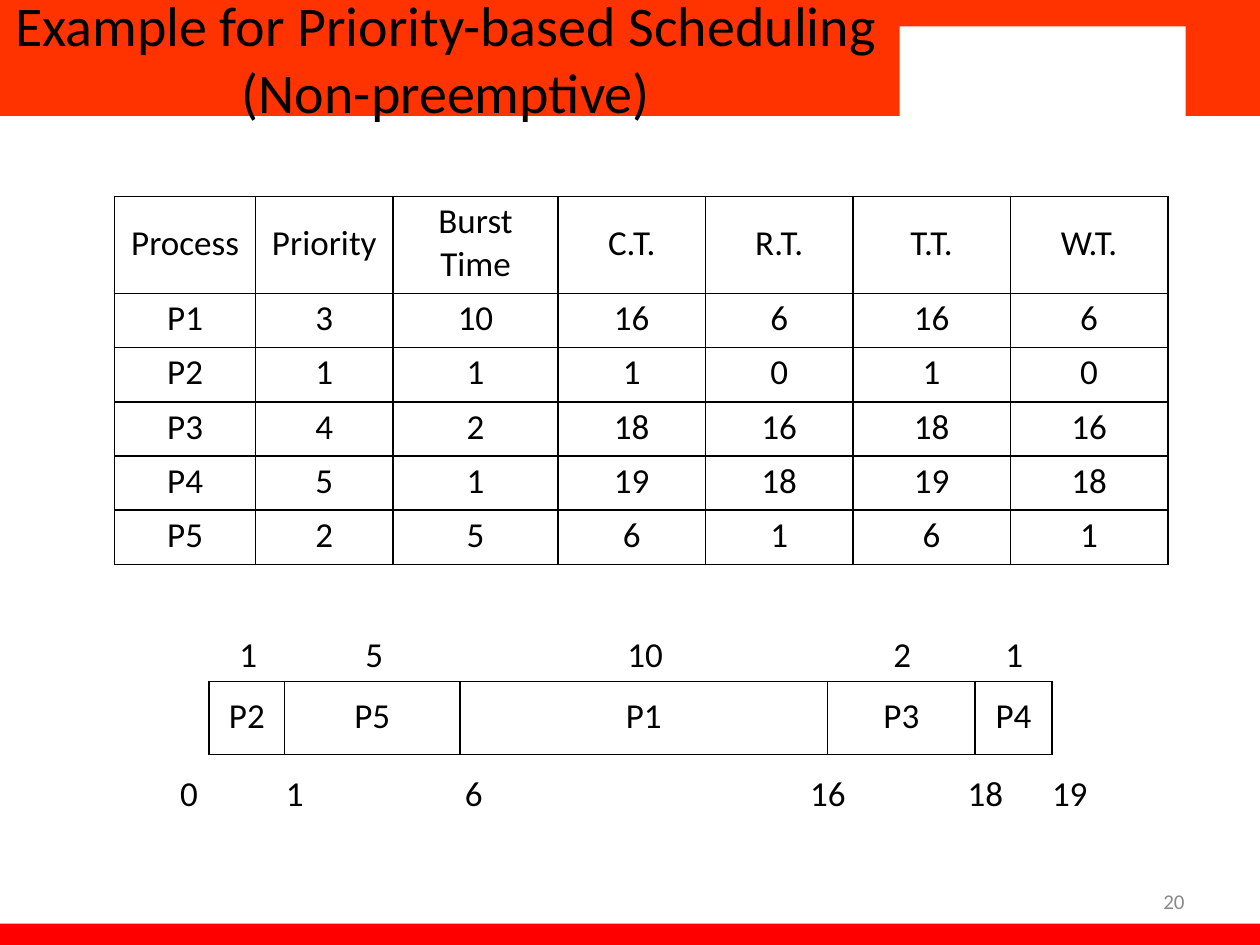
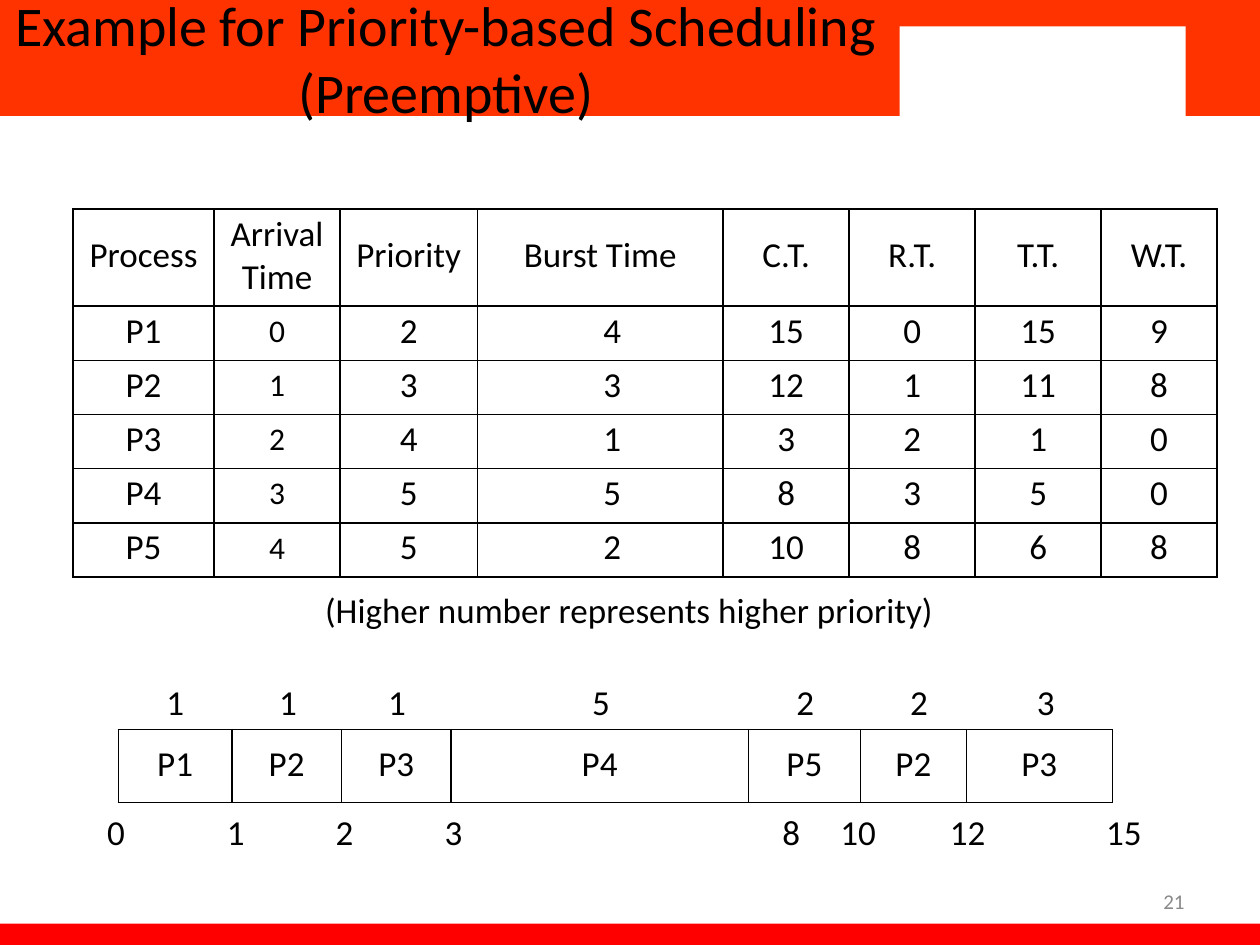
import pptx
import pptx.util
import pptx.dml.color
import pptx.enum.shapes
import pptx.enum.text
import pptx.oxml.ns
import lxml.etree

Inches, Pt = pptx.util.Inches, pptx.util.Pt
RGBColor = pptx.dml.color.RGBColor
ALIGN = pptx.enum.text.PP_ALIGN
MIDDLE = pptx.enum.text.MSO_ANCHOR.MIDDLE
NO_FIT = pptx.enum.text.MSO_AUTO_SIZE.NONE
qn = pptx.oxml.ns.qn

ORANGE = RGBColor(0xFF, 0x33, 0x00)
RED = RGBColor(0xFF, 0x00, 0x00)
WHITE = RGBColor(0xFF, 0xFF, 0xFF)
BLACK = RGBColor(0x00, 0x00, 0x00)
GREY = RGBColor(0x89, 0x89, 0x89)
FONT = "Calibri"
NO_GRID_STYLE = "{2D5ABB26-0587-4C30-8999-92F81FD0307C}"
L, C, R = ALIGN.LEFT, ALIGN.CENTER, ALIGN.RIGHT


def format_paragraph(p, size, color, align):
    p.font.name, p.font.size, p.font.color.rgb = FONT, Pt(size), color
    p.alignment = align


def add_grid(s, left, top, widths, heights, rows, margin_top, bordered=True):
    """Add a plain table of centred 20 pt text, with thin black borders if wanted."""
    frame = s.shapes.add_table(len(rows), len(widths), Inches(left), Inches(top),
                               Inches(sum(widths)), Inches(sum(heights)))
    frame.element.find(".//" + qn("a:tableStyleId")).text = NO_GRID_STYLE
    table = frame.table
    table.first_row = table.horz_banding = False
    for column, width in zip(table.columns, widths):
        column.width = Inches(width)
    for r, height in enumerate(heights):
        table.rows[r].height = Inches(height)
        for c, text in enumerate(rows[r]):
            cell = table.cell(r, c)
            cell.text = text
            cell.margin_left = cell.margin_right = cell.margin_bottom = 0
            cell.margin_top = Inches(margin_top)
            cell.fill.background()
            for p in cell.text_frame.paragraphs:
                format_paragraph(p, 20, BLACK, C)
            for i, side in enumerate(("lnL", "lnR", "lnT", "lnB") if bordered else ()):
                ln = lxml.etree.Element(qn("a:" + side), w=str(Pt(1)))
                fill = lxml.etree.SubElement(ln, qn("a:solidFill"))
                lxml.etree.SubElement(fill, qn("a:srgbClr"), val=str(BLACK))
                cell._tc.get_or_add_tcPr().insert(i, ln)
    return table


# Content: label rows hold (column width, text, alignment, indent)
SLIDES = [
    dict(
        title="Example for Priority-based Scheduling (Non-preemptive)",
        number="20",
        table_at=(0.91, 1.56),
        widths=[1.12, 1.09, 1.31, 1.17, 1.17, 1.25, 1.25],
        header=["Process", "Priority", "Burst\nTime", "C.T.", "R.T.", "T.T.", "W.T."],
        processes=["P1 3 10 16 6 16 6", "P2 1 1 1 0 1 0", "P3 4 2 18 16 18 16",
                   "P4 5 1 19 18 19 18", "P5 2 5 6 1 6 1"],
        gantt_at=(1.66, 5.41),
        gantt=[("P2", 0.6), ("P5", 1.39), ("P1", 2.92), ("P3", 1.17), ("P4", 0.61)],
        captions=[(1.89, 5.01, 0.17, "1"), (2.89, 5.01, 0.17, "5"),
                  (4.97, 5.01, 0.31, "10"), (7.08, 5.01, 0.17, "2"),
                  (7.97, 5.01, 0.17, "1")],
        label_rows=[
            (1.4, 6.14, [(0.52, "0", L, 0.03), (1.13, "1", L, 0.35), (2.08, "6", L, 0.64),
                         (2.07, "16", L, 1.3), (0.96, "18", L, 0.48),
                         (0.51, "19", L, 0.19)]),
        ],
    ),
    dict(
        title="Example for Priority-based Scheduling (Preemptive)",
        number="21",
        table_at=(0.58, 1.66),
        widths=[1.12, 1, 1.09, 1.95, 1, 1, 1, 0.92],
        header=["Process", "Arrival\nTime", "Priority", "Burst Time",
                "C.T.", "R.T.", "T.T.", "W.T."],
        processes=["P1 0 2 4 15 0 15 9", "P2 1 3 3 12 1 11 8", "P3 2 4 1 3 2 1 0",
                   "P4 3 5 5 8 3 5 0", "P5 4 5 2 10 8 6 8"],
        gantt_at=(0.94, 5.79),
        gantt=[("P1", 0.9), ("P2", 0.87), ("P3", 0.87), ("P4", 2.36), ("P5", 0.89),
               ("P2", 0.84), ("P3", 1.16)],
        captions=[(2.57, 4.66, 4.85, "(Higher number represents higher priority)")],
        label_rows=[
            (0.82, 6.45, [(0.58, "0", L, 0.03), (0.9, "1", C, 0.04), (0.87, "2", C, 0),
                          (1.61, "3", L, 0.36), (1.57, "8", R, 0), (0.9, "10", L, 0.32),
                          (1.05, "12", L, 0.29), (0.79, "15", L, 0.48)]),
            (1.29, 5.42, [(0.55, "1", L, 0.03), (0.88, "1", C, 0.01), (1.24, "1", L, 0.36),
                          (1.62, "5", C, 0), (1.25, "2", L, 0.74), (0.93, "2", C, 0),
                          (0.61, "3", R, 0)]),
        ],
    ),
]

prs = pptx.Presentation()
prs.slide_width, prs.slide_height = Inches(10), Inches(7.5)
layout = prs.slide_layouts[5]
slides = [prs.slides.add_slide(layout) for _ in SLIDES]

# Shared bands, moved to the back of the layout
bands = [(0, 0, 10, 0.92, ORANGE), (0, 7.33, 10, 0.17, RED), (7.14, 0.21, 2.27, 0.75, WHITE)]
for i, (left, top, width, height, color) in enumerate(bands):
    sp = slides[0].shapes.add_shape(pptx.enum.shapes.MSO_SHAPE.RECTANGLE, Inches(left),
                                    Inches(top), Inches(width), Inches(height))
    sp.shadow.inherit = False
    sp.fill.solid()
    sp.fill.fore_color.rgb = color
    sp.line.fill.background()
    layout.shapes.element.insert(2 + i, sp.element)

for s, content in zip(slides, SLIDES):
    # Title
    sp = s.shapes.title
    sp.left, sp.top, sp.width, sp.height = 0, 0, Inches(7.08), Inches(0.92)
    tf = sp.text_frame
    tf.text = content["title"]
    tf.auto_size, tf.vertical_anchor = NO_FIT, MIDDLE
    format_paragraph(tf.paragraphs[0], 32, BLACK, C)

    # Process table
    rows = [content["header"]] + [line.split() for line in content["processes"]]
    table = add_grid(s, *content["table_at"], content["widths"], [0.77] + [0.43] * 5,
                     rows, 0.03)
    for c, text in enumerate(content["header"]):
        if "\n" not in text:
            table.cell(0, c).margin_top = Inches(0.2)
        for r in range(1, len(rows)):
            cell = table.cell(r, c)
            p = cell.text_frame.paragraphs[0]
            if text == "Arrival\nTime":
                p.font.size, cell.margin_top = Pt(18), Inches(0.05)
            elif text == "Burst Time":
                p._p.get_or_add_pPr().set("marL", str(Inches(0.19)))

    # Gantt chart
    names, widths = zip(*content["gantt"])
    add_grid(s, *content["gantt_at"], widths, [0.58], [names], 0.11)

    # Rows of times and durations along the Gantt chart
    for left, top, labels in content["label_rows"]:
        widths, texts, aligns, indents = zip(*labels)
        table = add_grid(s, left, top, widths, [0.28], [texts], 0, bordered=False)
        for c, (align, indent) in enumerate(zip(aligns, indents)):
            p = table.cell(0, c).text_frame.paragraphs[0]
            p.alignment, p.line_spacing = align, 0.95
            p._p.get_or_add_pPr().set("marL", str(Inches(indent)))

    # Single captions
    for left, top, width, text in content["captions"]:
        tf = s.shapes.add_textbox(Inches(left), Inches(top), Inches(width),
                                  Inches(0.36)).text_frame
        tf.text = text
        tf.margin_left = tf.margin_top = Inches(0.01)
        tf.margin_right = tf.margin_bottom = 0
        format_paragraph(tf.paragraphs[0], 20, BLACK, L)

    # Slide number
    tf = s.shapes.add_textbox(Inches(7.17), Inches(6.95), Inches(2.33), Inches(0.4)).text_frame
    tf.text = content["number"]
    tf.word_wrap, tf.vertical_anchor = True, MIDDLE
    format_paragraph(tf.paragraphs[0], 12, GREY, R)

prs.save("out.pptx")
